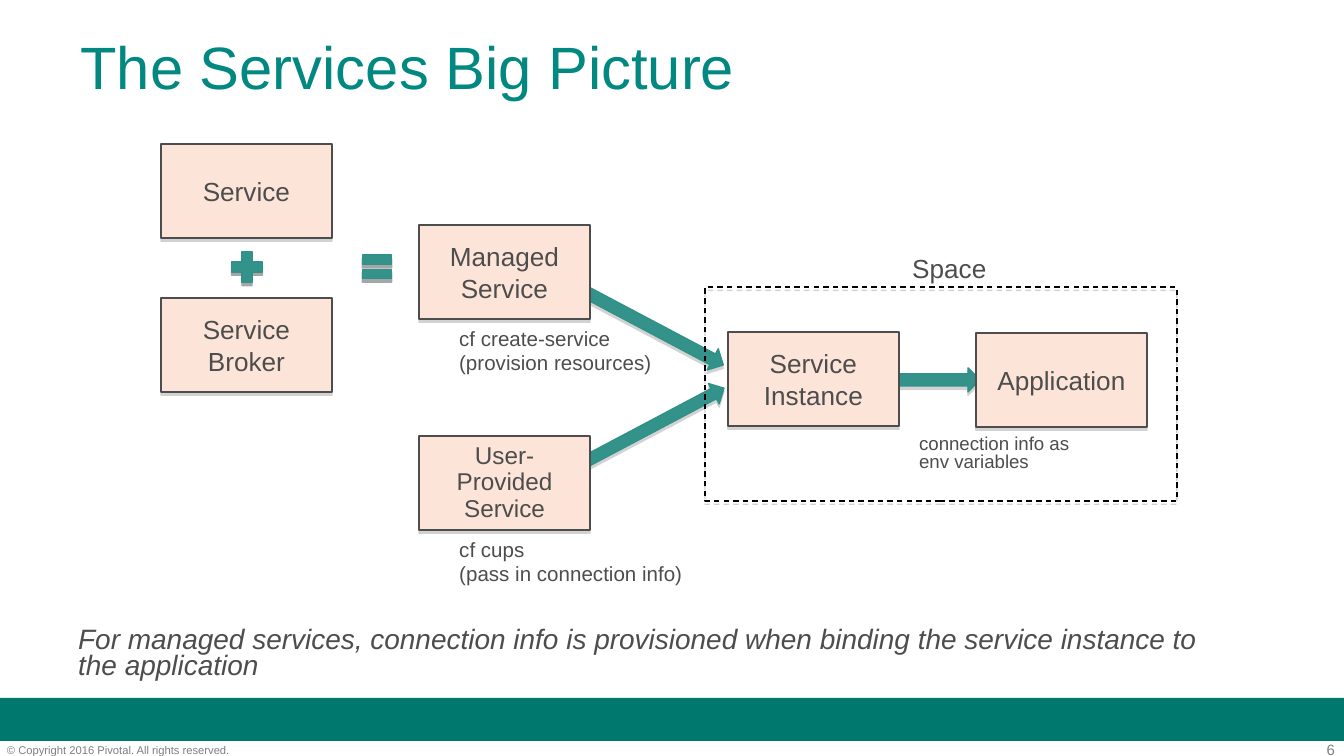
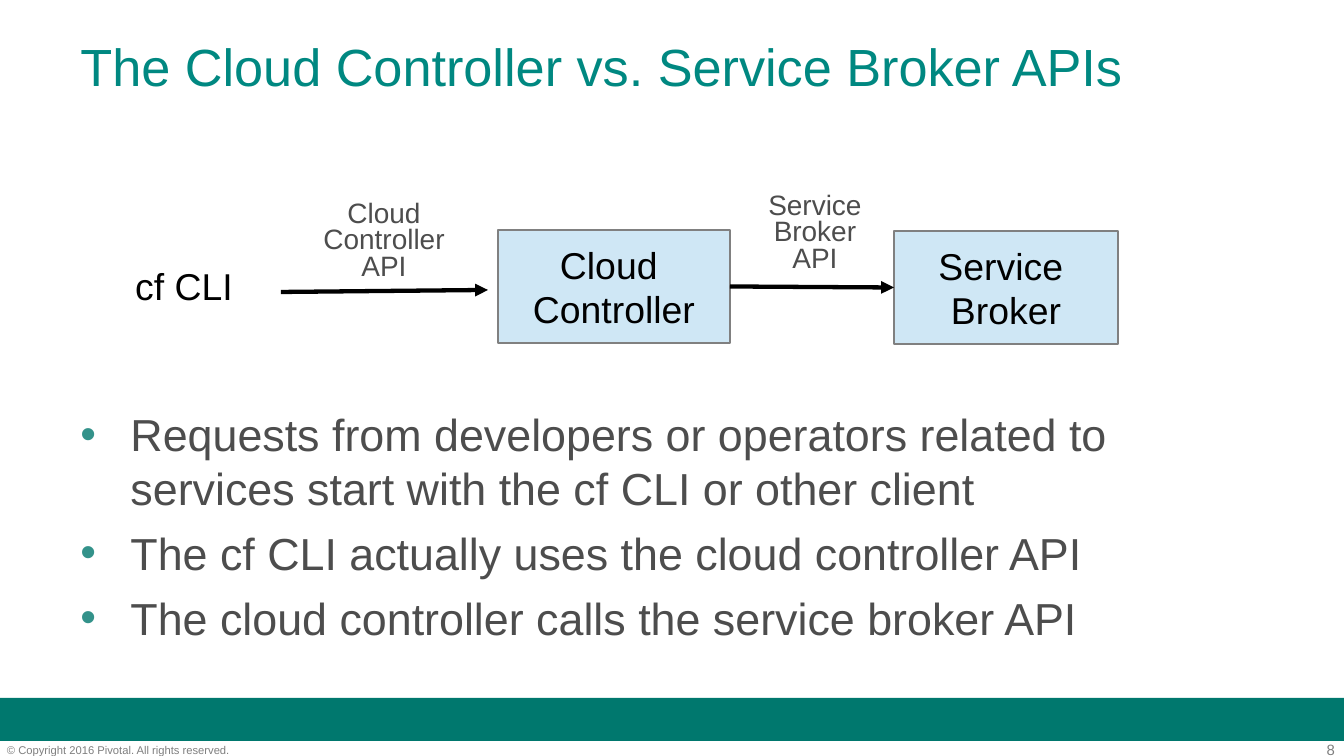
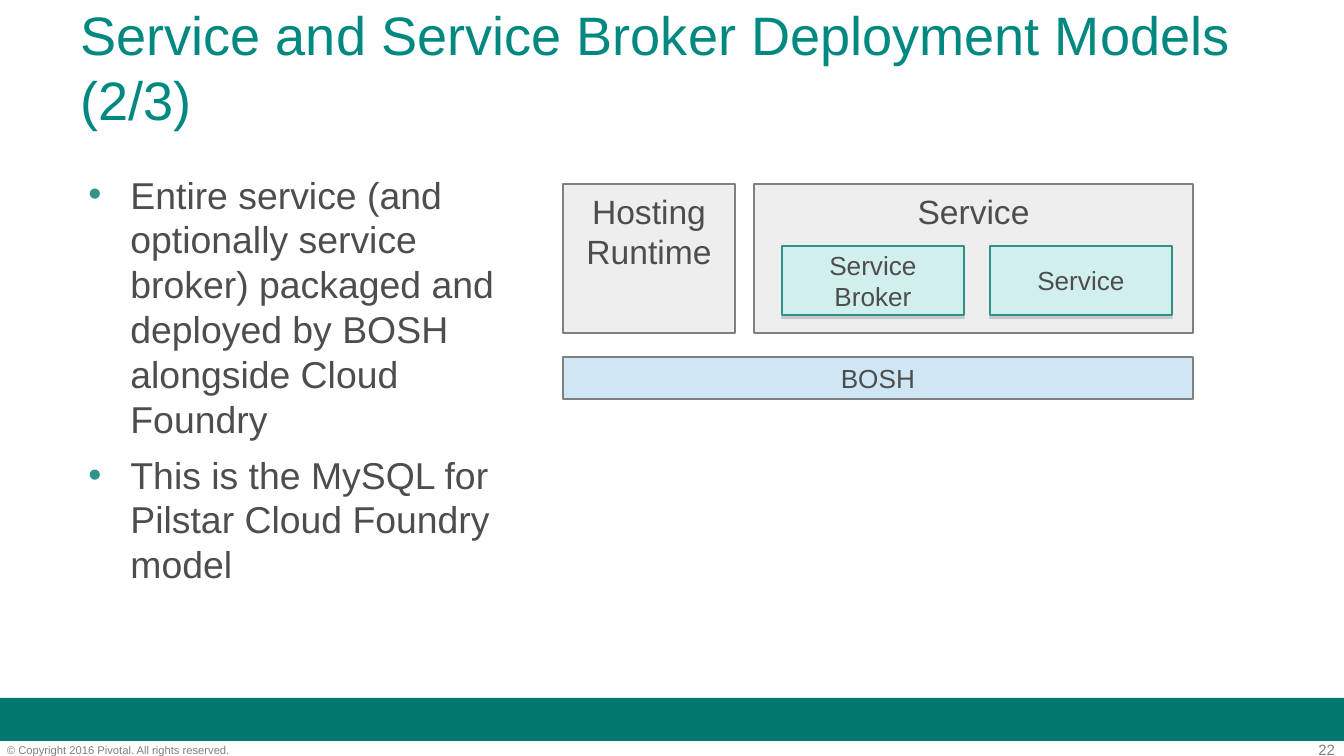
from dataclasses import dataclass

from lxml import etree
from pptx import Presentation
from pptx.dml.color import RGBColor
from pptx.enum.dml import MSO_LINE
from pptx.enum.shapes import MSO_CONNECTOR, MSO_SHAPE as SHAPE
from pptx.enum.text import MSO_ANCHOR as ANCHOR, MSO_AUTO_SIZE as FIT, PP_ALIGN as ALIGN
from pptx.oxml import parse_xml
from pptx.oxml.ns import nsdecls, qn
from pptx.util import Pt


@dataclass(frozen=True)
class Theme:
    font: str = "Arial"
    band: str = "00786E"
    title: str = "008881"
    text: str = "4D4D4D"
    black: str = "000000"
    footer: str = "7F7F7F"
    accent: str = "33928A"
    accent_line: str = "2F9189"
    shadow: str = "808080"
    copyright_pt: int = 6
    number_pt: int = 8
    fine_pt: int = 10
    command_pt: int = 11
    tight_pt: int = 13
    box_pt: int = 14
    label_pt: int = 15
    panel_pt: int = 18
    node_pt: int = 20
    line_pt: float = 0.75
    flow_pt: float = 2.3


@dataclass(frozen=True)
class Look:
    fill: str | None
    line: str
    geometry: int = SHAPE.RECTANGLE
    shadow: str | None = None
    dashed: bool = False


T = Theme()
PEACH = Look("FCE5D8", T.text, shadow=T.shadow)
MINT = Look("D1EFEC", T.accent_line, shadow=T.shadow)
SPACE = Look(None, T.black, shadow=T.shadow, dashed=True)
BLUE = Look("CFE7F5", "808080", SHAPE.ROUNDED_RECTANGLE)
GREY = Look("EEEEEE", "808080", SHAPE.ROUNDED_RECTANGLE)
ARROW = Look(T.accent, T.accent_line, SHAPE.RIGHT_ARROW, T.shadow)
PLUS = Look(T.accent, T.accent_line, SHAPE.MATH_PLUS, T.black)
EQUAL = Look(T.accent, T.accent_line, SHAPE.MATH_EQUAL, T.black)

PX = 914400 / 134.4
WIDTH, HEIGHT = 1344, 756
TITLE_BOX = 67, 3, 1210, 126
BAND_BOX = 0, 698, WIDTH, 43
NUMBER_BOX = 1257, 741, 78, 17
COPYRIGHT_BOX = 7, 743, 335, 13
COPYRIGHT = "© Copyright 2016 Pivotal. All rights reserved."

# In texts, "\n" starts a paragraph and "\v" breaks a line.
BIG_PICTURE = {
    "title": "The Services Big Picture", "title_pt": 32, "number": 6,
    "arrows": [((578, 413, 155, 23), -27.9), ((566, 314, 167, 24), 27.9),
               ((879, 368, 101, 24), 0)],
    "signs": [(PLUS, (226, 246, 42, 42)), (EQUAL, (357, 247, 40, 40))],
    "box_size": (171, 94),
    "boxes": [
        ("Service", (161, 144), T.box_pt, 1),
        ("Service\nBroker", (161, 298), T.box_pt, 1),
        ("Managed\nService", (419, 225), T.box_pt, 1),
        ("User-Provided\nService", (419, 436), T.tight_pt, 0.9),
        ("Service\nInstance", (728, 332), T.box_pt, 1),
        ("Application", (976, 333), T.box_pt, 1),
    ],
    "space": (705, 287, 472, 214),
    "labels": [
        ("Space", (899, 246, 102, 46), dict(size=T.box_pt)),
        ("cf create-service \v(provision resources)", (446, 319, 222, 85),
         dict(size=T.command_pt)),
        ("cf cups\v(pass in connection info)", (446, 530, 259, 83),
         dict(size=T.command_pt)),
        ("connection info as env variables", (906, 430, 198, 50),
         dict(size=T.fine_pt, spacing=0.8)),
        ("For managed services, connection info is provisioned when binding "
         "the service instance to the application", (65, 621, 1173, 69),
         dict(size=T.label_pt, spacing=0.8, italic=True)),
    ],
}

BROKER_APIS = {
    "title": "The Cloud Controller vs. Service Broker APIs", "title_pt": 28, "number": 8,
    "bullets": [
        "Requests from developers or operators related to services start with "
        "the cf CLI or other client",
        "The cf CLI actually uses the cloud controller API",
        "The cloud controller calls the service broker API",
    ],
    "body": dict(box=(67, 400, 1210, 270), size=24, hang=50),
    "client": ("cf CLI", (122, 265, 144, 50)),
    "nodes": [("Cloud \nController", (498, 230, 232, 113)),
              ("Service \nBroker", (894, 231, 224, 113))],
    "client_flow": (281, 292, 488, 290),
    "apis": [("Cloud\vController\nAPI", (298, 195, 172, 101)),
             ("Service\vBroker\nAPI", (746, 187, 138, 101))],
}

DEPLOYMENT = {
    "title": "Service and Service Broker Deployment Models (2/3)", "title_pt": 29,
    "number": 22,
    "bullets": [
        "Entire service (and optionally service broker) packaged and deployed "
        "by BOSH alongside Cloud Foundry",
        "This is the MySQL for Pilstar Cloud Foundry model",
    ],
    "body": dict(box=(67, 165, 452, 472), size=20, hang=42),
    "panels": [
        ("Service", (754, 184, 439, 149), GREY, T.panel_pt, ANCHOR.TOP),
        ("Service Broker", (782, 246, 182, 69), MINT, T.box_pt, ANCHOR.MIDDLE),
        ("Service", (990, 246, 182, 69), MINT, T.box_pt, ANCHOR.MIDDLE),
        ("BOSH", (563, 357, 630, 42), BLUE, T.box_pt, ANCHOR.MIDDLE),
        ("Hosting Runtime", (563, 184, 172, 149), GREY, T.panel_pt, ANCHOR.TOP),
    ],
}


def px(*values):
    return [round(v * PX) for v in values]


def rgb(value):
    return RGBColor.from_string(value)


def write(tf, text, size, color=T.text, align=ALIGN.LEFT, spacing=1,
          italic=False, anchor=ANCHOR.TOP):
    tf.word_wrap, tf.auto_size, tf.vertical_anchor = True, FIT.NONE, anchor
    for i, block in enumerate(text.split("\n")):
        p = tf.paragraphs[0] if i == 0 else tf.add_paragraph()
        p.alignment, p.line_spacing = align, spacing
        for j, line in enumerate(block.split("\v")):
            if j:
                p.add_line_break()
            r = p.add_run()
            r.text = line
            r.font.name, r.font.size, r.font.italic = T.font, Pt(size), italic
            r.font.color.rgb = rgb(color)


def add_label(s, text, box, margin=None, **style):
    tf = s.shapes.add_textbox(*px(*box)).text_frame
    if margin is not None:
        tf.margin_left = tf.margin_top = tf.margin_right = tf.margin_bottom = margin
    write(tf, text, **style)


def add_shadow(sp, color):
    sp._element.spPr.append(parse_xml(
        f'<a:effectLst {nsdecls("a")}><a:outerShdw dist="{Pt(1.8)}" dir="5400000" '
        f'algn="ctr" rotWithShape="0"><a:srgbClr val="{color}">'
        f'<a:alpha val="35000"/></a:srgbClr></a:outerShdw></a:effectLst>'))


def add_box(s, box, look, text="", size=T.box_pt, anchor=ANCHOR.MIDDLE, spacing=1):
    sp = s.shapes.add_shape(look.geometry, *px(*box))
    if look.geometry == SHAPE.ROUNDED_RECTANGLE:
        sp.adjustments[0] = 0
    if look.fill:
        sp.fill.solid()
        sp.fill.fore_color.rgb = rgb(look.fill)
    else:
        sp.fill.background()
    sp.line.color.rgb, sp.line.width = rgb(look.line), Pt(T.line_pt)
    if look.dashed:
        sp.line.dash_style = MSO_LINE.DASH
    if look.shadow:
        add_shadow(sp, look.shadow)
    else:
        sp.shadow.inherit = False
    if text:
        color = T.black if size == T.node_pt else T.text
        write(sp.text_frame, text, size, color, ALIGN.CENTER, spacing, anchor=anchor)
    return sp


def add_flow(s, x1, y1, x2, y2):
    line = s.shapes.add_connector(MSO_CONNECTOR.STRAIGHT, *px(x1, y1, x2, y2))
    line.line.color.rgb, line.line.width = rgb(T.black), Pt(T.flow_pt)
    etree.SubElement(line.line._get_or_add_ln(), qn("a:tailEnd"), type="triangle")
    etree.SubElement(line._element.spPr, qn("a:effectLst"))
    return line


def place(sp, box):
    sp.left, sp.top, sp.width, sp.height = px(*box)


def fill_body(sp, bullets, box, size, hang):
    place(sp, box)
    tf = sp.text_frame
    tf.word_wrap, tf.auto_size, tf.vertical_anchor = True, FIT.NONE, ANCHOR.TOP
    margin, hang = px(50, hang)
    for i, text in enumerate(bullets):
        p = tf.paragraphs[0] if i == 0 else tf.add_paragraph()
        pPr = p._p.get_or_add_pPr()
        pPr.set("marL", str(margin))
        pPr.set("indent", str(-hang))
        color = etree.SubElement(pPr, qn("a:buClr"))
        etree.SubElement(color, qn("a:srgbClr"), val=T.accent)
        etree.SubElement(pPr, qn("a:buFont"), typeface=T.font)
        etree.SubElement(pPr, qn("a:buChar"), char="•")
        p.space_before = Pt(6 if i else 0)
        r = p.add_run()
        r.text = text
        r.font.name, r.font.size, r.font.color.rgb = T.font, Pt(size), rgb(T.text)


def add_slide(prs, content):
    layout = prs.slide_layouts[1 if "bullets" in content else 5]
    s = prs.slides.add_slide(layout)
    place(s.shapes.title, TITLE_BOX)
    write(s.shapes.title.text_frame, content["title"], content["title_pt"], T.title,
          anchor=ANCHOR.MIDDLE)
    add_label(s, str(content["number"]), NUMBER_BOX, margin=0, size=T.number_pt,
              color=T.footer, align=ALIGN.RIGHT)
    if "bullets" in content:
        fill_body(s.placeholders[1], content["bullets"], **content["body"])
    return s


def brand_master(prs, s):
    """Draw the band and copyright line on s, then move them to the slide master."""
    first = len(s.shapes)
    band = add_box(s, BAND_BOX, Look(T.band, T.band))
    band.line.fill.background()
    add_label(s, COPYRIGHT, COPYRIGHT_BOX, margin=0, size=T.copyright_pt, color=T.footer)
    tree = prs.slide_master.element.cSld.spTree
    for sp in list(s.shapes)[first:]:
        tree.append(sp._element)


def draw_big_picture(s, content):
    for box, angle in content["arrows"]:
        add_box(s, box, ARROW).rotation = angle
    for text, corner, size, spacing in content["boxes"]:
        add_box(s, corner + content["box_size"], PEACH, text, size, spacing=spacing)
    for look, box in content["signs"]:
        add_box(s, box, look)
    add_box(s, content["space"], SPACE)
    for text, box, style in content["labels"]:
        add_label(s, text, box, **style)


def draw_broker_apis(s, content):
    add_label(s, *content["client"], size=T.node_pt, color=T.black, spacing=0.8)
    add_flow(s, *content["client_flow"])
    controller, broker = [add_box(s, box, BLUE, text, T.node_pt)
                          for text, box in content["nodes"]]
    call = add_flow(s, 0, 0, 1, 1)
    call.begin_connect(controller, 3)
    call.end_connect(broker, 1)
    for text, box in content["apis"]:
        add_label(s, text, box, size=T.label_pt, align=ALIGN.CENTER, spacing=0.8)


def draw_deployment(s, content):
    for text, box, look, size, anchor in content["panels"]:
        add_box(s, box, look, text, size, anchor)


def main():
    prs = Presentation()
    prs.slide_width, prs.slide_height = px(WIDTH, HEIGHT)
    for content, draw in ((BIG_PICTURE, draw_big_picture),
                          (BROKER_APIS, draw_broker_apis),
                          (DEPLOYMENT, draw_deployment)):
        draw(add_slide(prs, content), content)
    brand_master(prs, prs.slides[0])
    prs.save("out.pptx")


if __name__ == "__main__":
    main()
